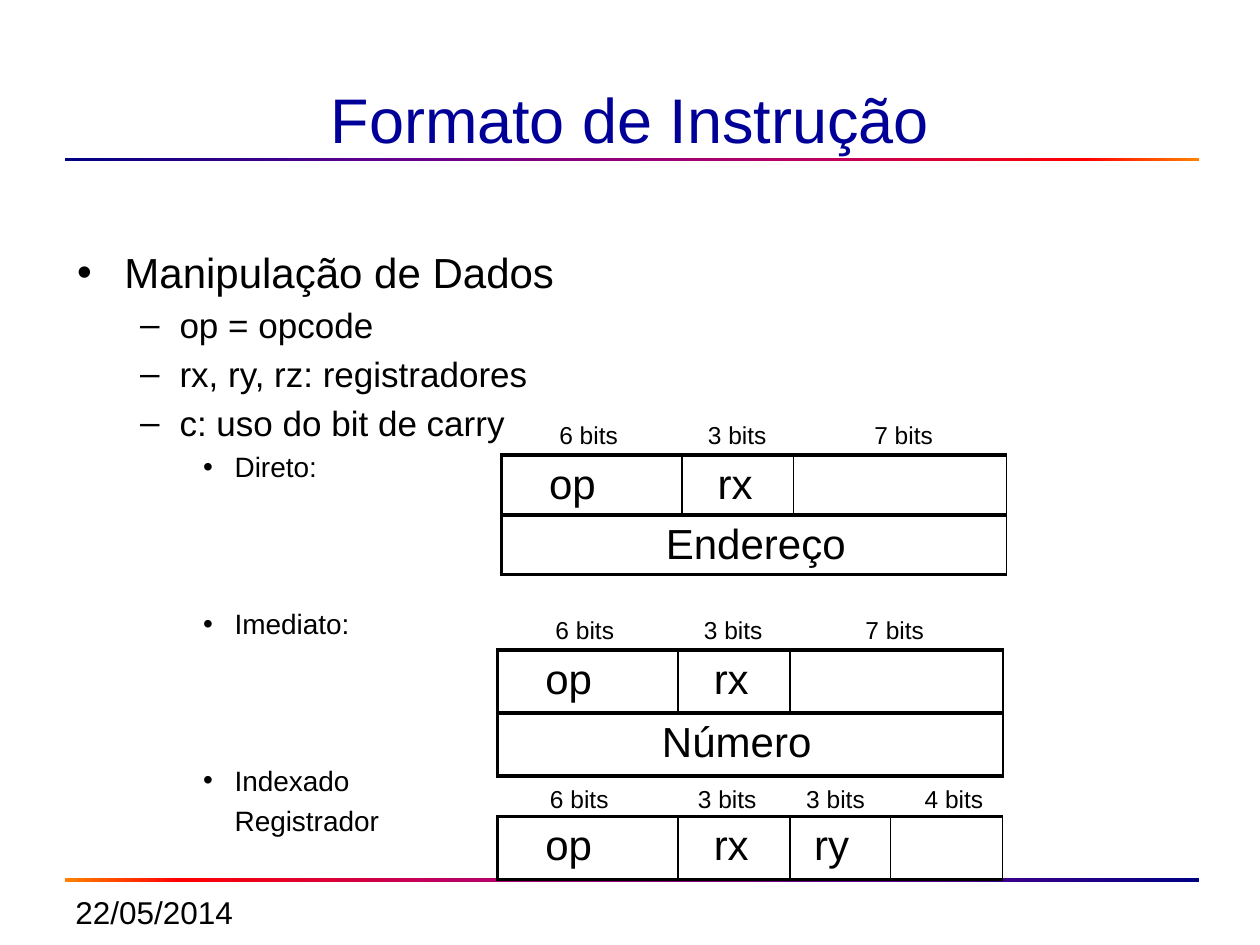
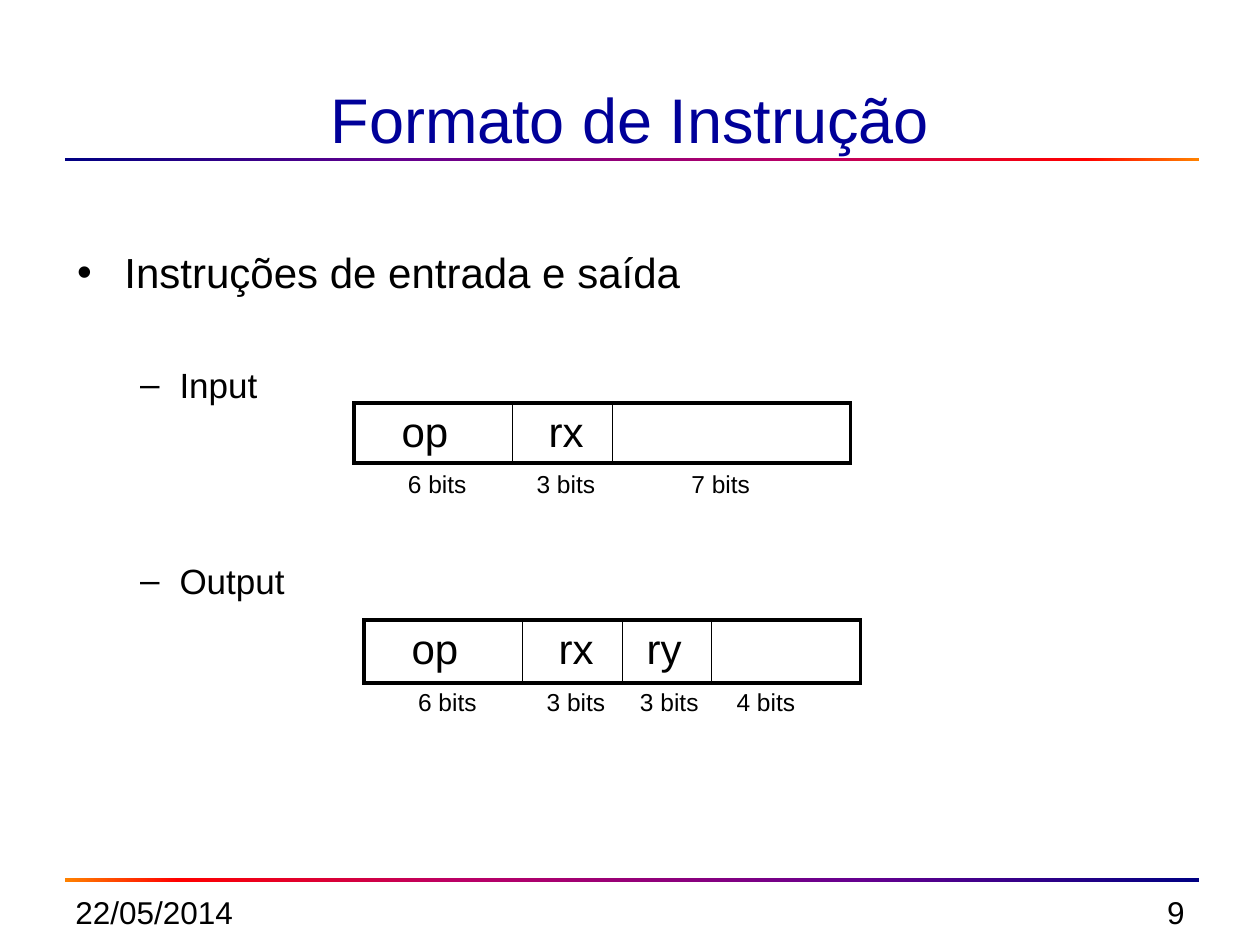
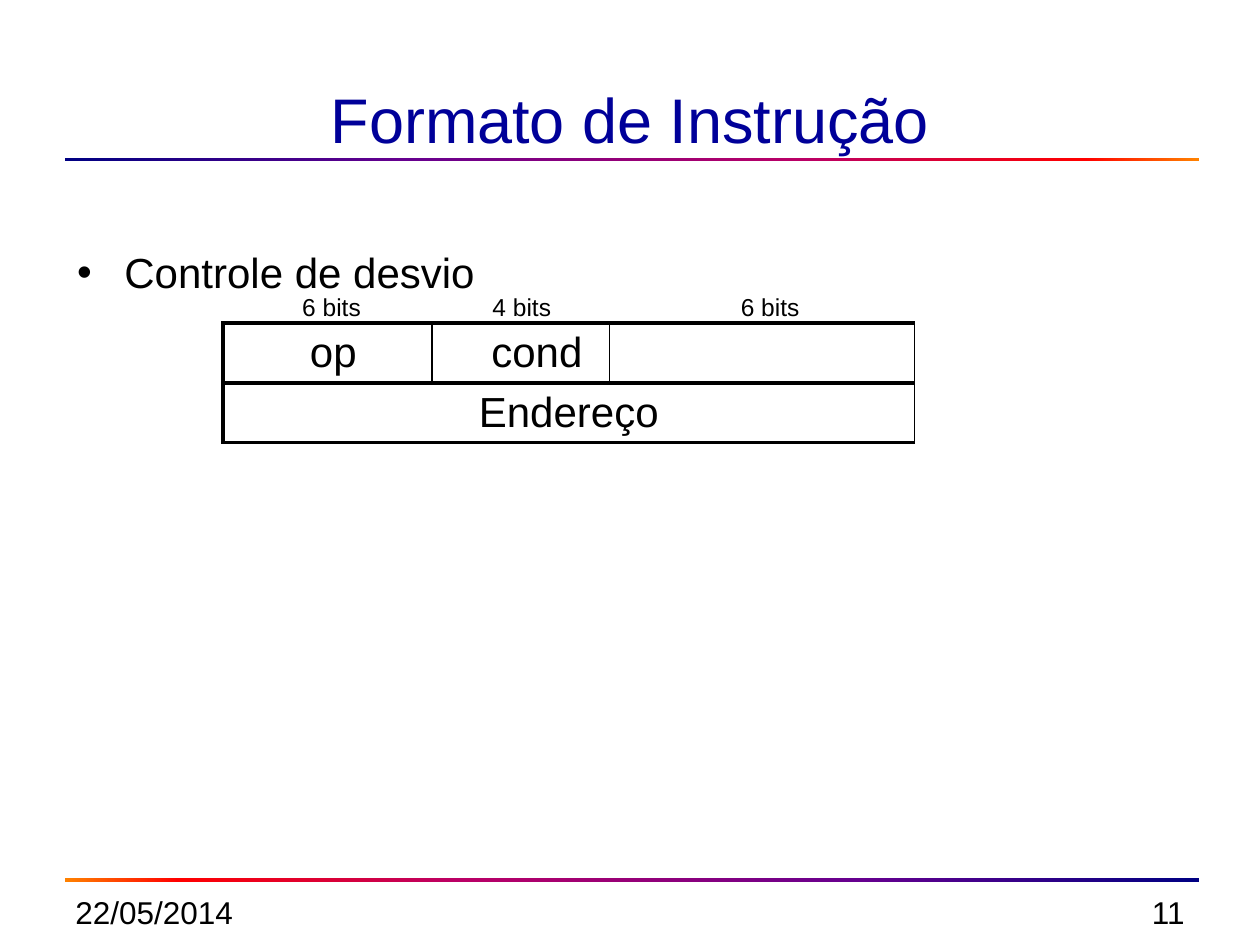
from lxml import etree
from pptx import Presentation
from pptx import util as u
from pptx.dml.color import RGBColor
from pptx.enum import shapes, text
from pptx.oxml import ns

Pt = u.Pt
FONT = "Arial"
COLORS = {"title": "000099", "text": "000000", "border": "000000"}
BAND_STOPS = [(0, "000082"), (30, "66008F"), (65, "BA0066"), (90, "FF0000"), (100, "FF8200")]
LEFT, CENTER, RIGHT = text.PP_ALIGN.LEFT, text.PP_ALIGN.CENTER, text.PP_ALIGN.RIGHT
THICK, THIN = 2.25, 1

# Outline levels: left margin, hanging indent, bullet, size
LEVELS = {
    "topic": (27, -27, "•", 24),
    "item": (58.5, -22.5, "–", 20),
    "detail": (90, -18, "•", 16),
    "continued": (90, 0, None, 16),
}

# Instruction fields: wording, extra indent, alignment
OP, RX, RY, REST = ("op", 20, LEFT), ("rx", 13.3, LEFT), ("ry", 6.7, LEFT), ("", 0, LEFT)

# Outline: level, wording, space before.
# Formats: left, top, column widths, row height, right border, field rows,
#          top of the bit labels, (left, wording) of each label
slides = [
    {
        "number": None,
        "outline": [
            ("topic", "Manipulação de Dados", 0),
            ("item", "op = opcode", 4),
            ("item", "rx, ry, rz: registradores", 4),
            ("item", "c: uso do bit de carry", 4),
            ("detail", "Direto:", 3.4),
            ("detail", "Imediato:", 70.4),
            ("detail", "Indexado", 70.4),
            ("continued", "Registrador", 3.4),
        ],
        "formats": [
            (286.6, 260, [103, 64, 121.7], 34.2, THIN,
             [[OP, RX, REST], [("Endereço", 86.7, LEFT)]],
             236.5, [(312.5, "6 bits"), (397.4, "3 bits"), (492.5, "7 bits")]),
            (284.4, 466.6, [103, 64, 57.6, 64], 36, THIN,
             [[OP, RX, RY, REST]],
             444.5, [(307.2, "6 bits"), (391.7, "3 bits"), (453.6, "3 bits"), (521.3, "4 bits")]),
            (284.4, 371.4, [103, 64, 121.7], 36, THIN,
             [[OP, RX, REST], [("Número", 86.7, LEFT)]],
             347.7, [(310.3, "6 bits"), (395.1, "3 bits"), (487.4, "7 bits")]),
        ],
    },
    {
        "number": "9",
        "outline": [
            ("topic", "Instruções de entrada e saída", 0),
            ("item", "Input", 38),
            ("item", "Output", 88),
        ],
        "formats": [
            (202.3, 230.4, [90.7, 56.9, 136.1], 34.2, THICK,
             [[OP, RX, REST]],
             264.7, [(226, "6 bits"), (299.5, "3 bits"), (388, "7 bits")]),
            (208, 354.2, [90.7, 56.9, 51.1, 85], 36, THICK,
             [[OP, RX, RY, REST]],
             389, [(231.8, "6 bits"), (305.3, "3 bits"), (358.6, "3 bits"), (413.8, "4 bits")]),
        ],
    },
    {
        "number": "11",
        "outline": [("topic", "Controle de desvio", 0)],
        "formats": [
            (127.4, 184.6, [119.5, 101.5, 174.3], 34.2, THIN,
             [[("op", 6.7, CENTER), ("cond", 26.7, LEFT), REST], [("Endereço", 0, CENTER)]],
             163.2, [(165.6, "6 bits"), (274.3, "4 bits"), (416.2, "6 bits")]),
        ],
    },
]


def style(paragraph, size, color="text", align=LEFT):
    paragraph.alignment = align
    paragraph.font.name = FONT
    paragraph.font.size = Pt(size)
    paragraph.font.color.rgb = RGBColor.from_string(COLORS[color])


def add_text(slide, box, wording, size, color="text", align=LEFT):
    frame = slide.shapes.add_textbox(*map(Pt, box)).text_frame
    frame.word_wrap = True
    frame.text = wording
    style(frame.paragraphs[0], size, color, align)
    return frame


prs = Presentation()
prs.slide_width, prs.slide_height = Pt(720), Pt(540)

for content in slides:
    slide = prs.slides.add_slide(prs.slide_layouts[6])

    # Gradient bands; the lower one mirrors the upper one
    mirrored = [(100 - pos, color) for pos, color in reversed(BAND_STOPS)]
    for top, stops in ((90, BAND_STOPS), (502, mirrored)):
        band = slide.shapes.add_shape(shapes.MSO_SHAPE.RECTANGLE, Pt(37), Pt(top), Pt(648), Pt(2))
        band.shadow.inherit = False
        band.line.fill.background()
        band.fill.gradient()
        band.fill.gradient_angle = 0
        stop_list = band._element.spPr.find(".//" + ns.qn("a:gsLst"))
        for old_stop in list(stop_list):
            stop_list.remove(old_stop)
        for pos, color in stops:
            stop = etree.SubElement(stop_list, ns.qn("a:gs"), pos=str(pos * 1000))
            etree.SubElement(stop, ns.qn("a:srgbClr"), val=color)

    # Footer and title
    add_text(slide, (36, 507, 168, 37), "22/05/2014", 18)
    if content["number"]:
        add_text(slide, (516, 507, 168, 37), content["number"], 18, align=RIGHT)
    title = add_text(slide, (36.7, 36, 646.6, 57), "Formato de Instrução", 36, "title", CENTER)
    title.vertical_anchor = text.MSO_ANCHOR.BOTTOM

    # Outline
    outline = slide.shapes.add_textbox(Pt(37), Pt(103.7), Pt(646.6), Pt(385.2)).text_frame
    outline.word_wrap = True
    outline.margin_top = Pt(37.2)
    for i, (level, wording, space) in enumerate(content["outline"]):
        margin, hanging, bullet, size = LEVELS[level]
        entry = outline.add_paragraph() if i else outline.paragraphs[0]
        entry.text = wording
        style(entry, size)
        entry.space_before = Pt(space)
        props = entry._p.get_or_add_pPr()
        props.set("marL", str(Pt(margin)))
        props.set("indent", str(Pt(hanging)))
        if bullet:
            etree.SubElement(props, ns.qn("a:buFont"), typeface=FONT)
            etree.SubElement(props, ns.qn("a:buChar"), char=bullet)

    # Instruction formats with their bit labels
    for left, top, widths, height, right_border, rows, label_top, labels in content["formats"]:
        last = len(widths) - 1
        table = slide.shapes.add_table(len(rows), len(widths), Pt(left), Pt(top),
                                       Pt(sum(widths)), Pt(height * len(rows))).table
        table.first_row = table.horz_banding = False
        for column, width in zip(table.columns, widths):
            column.width = Pt(width)
        for r, fields in enumerate(rows):
            table.rows[r].height = Pt(height)
            for c in range(len(widths)):
                cell = table.cell(r, c)
                cell.margin_bottom = Pt(1)
                borders = {"lnL": THIN if c else THICK,
                           "lnR": right_border if c == last else THIN,
                           "lnT": THICK, "lnB": THICK}
                for side, weight in borders.items():
                    line = etree.SubElement(cell._tc.get_or_add_tcPr(), ns.qn("a:" + side),
                                            w=str(Pt(weight)))
                    solid = etree.SubElement(line, ns.qn("a:solidFill"))
                    etree.SubElement(solid, ns.qn("a:srgbClr"), val=COLORS["border"])
                cell.fill.background()
            if len(fields) == 1:
                table.cell(r, 0).merge(table.cell(r, last))
            for c, (wording, indent, align) in enumerate(fields):
                cell = table.cell(r, c)
                cell.margin_left = Pt(7.2 + indent)
                cell.text = wording
                style(cell.text_frame.paragraphs[0], 24, align=align)
        for label_left, wording in labels:
            label = add_text(slide, (label_left, label_top, 48, 24), wording, 14)
            label.margin_right = 0
            label.word_wrap = False
            label.auto_size = text.MSO_AUTO_SIZE.SHAPE_TO_FIT_TEXT
            label.margin_right = Pt(7.2)

prs.save("out.pptx")
